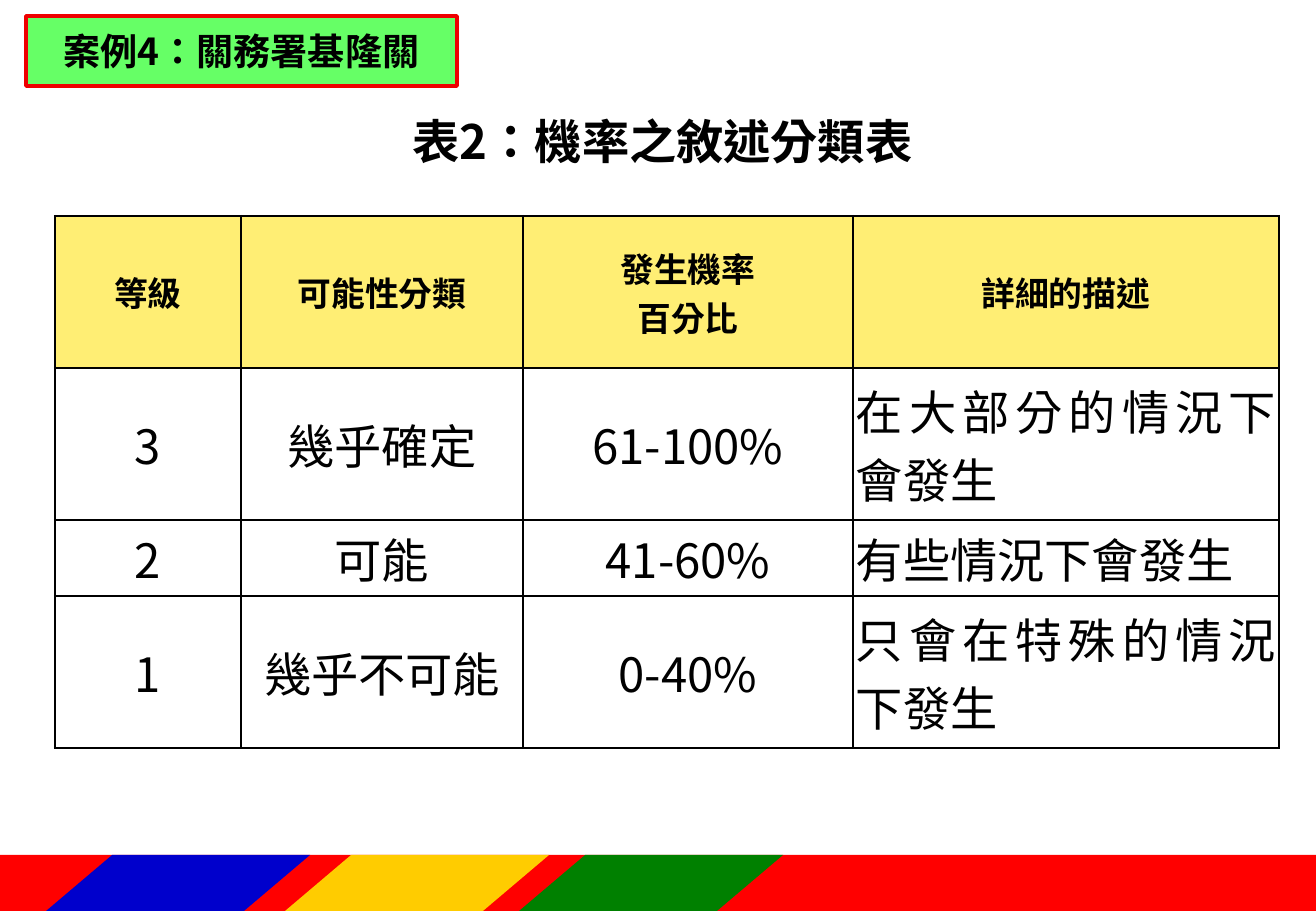
from pptx import Presentation
from pptx import util as u
from pptx.dml.color import RGBColor
from pptx.enum import lang, shapes, text
from pptx.oxml import ns, xmlchemy

SCALE = 914400 / 121.5
BLACK = RGBColor(0, 0, 0)
WHITE = RGBColor(255, 255, 255)
RED = RGBColor(255, 0, 0)
BLUE = RGBColor(0, 0, 204)
GOLD = RGBColor(255, 204, 0)
GREEN = RGBColor(0, 128, 0)
LIME = RGBColor(102, 255, 102)
EDGE = RGBColor(238, 0, 0)
YELLOW = RGBColor(255, 238, 116)
SANS = "Noto Sans CJK SC"
SERIF = "TeX Gyre Schola"

LABEL = dict(name=SANS, size=u.Pt(22), bold=True)
CAPTION = dict(name=SANS, size=u.Pt(28), bold=True)
HEAD = dict(name=SERIF, size=u.Pt(20), bold=True)
BODY = dict(name=SANS, size=u.Pt(28), bold=False)

COLS = [186, 282, 330, 426]
ROWS = [152, 152, 76, 152]
CELLS = [
    ["等級", "可能性分類", "發生機率\n百分比", "詳細的描述"],
    ["3", "幾乎確定", "61-100%", "在大部分的情況下會發生"],
    ["2", "可能", "41-60%", "有些情況下會發生"],
    ["1", "幾乎不可能", "0-40%", "只會在特殊的情況下發生"],
]


def px(n):
    return u.Emu(round(n * SCALE))


def apply(item, values):
    for key, value in values.items():
        setattr(item, key, value)


def write(frame, words, style, align=text.PP_ALIGN.CENTER, spacing=None):
    frame.text = words
    for para in frame.paragraphs:
        apply(para, dict(alignment=align, line_spacing=spacing))
        for run in para.runs:
            apply(run.font, style)
            run.font.color.rgb = BLACK
            run.font.language_id = lang.MSO_LANGUAGE_ID.TRADITIONAL_CHINESE
            east = xmlchemy.OxmlElement("a:ea")
            east.set("typeface", SANS)
            run.font._element.find(ns.qn("a:latin")).addnext(east)


def block(slide, kind, left, width, color):
    shape = slide.shapes.add_shape(kind, px(left), px(855), px(width), px(56))
    shape.shadow.inherit = False
    shape.fill.solid()
    shape.fill.fore_color.rgb = color
    shape.line.fill.background()
    return shape


def band(slide):
    block(slide, shapes.MSO_SHAPE.RECTANGLE, 0, 1316, RED)
    for left, color in [(285, GOLD), (519, GREEN), (46, BLUE)]:
        slant = block(slide, shapes.MSO_SHAPE.PARALLELOGRAM, left, 264, color)
        slant.adjustments[0] = 1.18


def label(slide, words):
    title = slide.shapes.title
    apply(title, dict(left=px(26), top=px(16), width=px(431), height=px(70)))
    title.fill.solid()
    title.fill.fore_color.rgb = LIME
    title.line.color.rgb = EDGE
    title.line.width = u.Pt(2.25)
    title.text_frame.vertical_anchor = text.MSO_ANCHOR.MIDDLE
    write(title.text_frame, words, LABEL)


def caption(slide, words):
    box = slide.shapes.add_textbox(px(400), px(111), px(525), px(69))
    apply(box.text_frame, dict(word_wrap=True, vertical_anchor=text.MSO_ANCHOR.MIDDLE))
    write(box.text_frame, words, CAPTION, spacing=0.83)


def border(cell, side, width):
    line = xmlchemy.OxmlElement("a:ln" + side)
    line.set("w", str(u.Pt(width)))
    fill = xmlchemy.OxmlElement("a:solidFill")
    color = xmlchemy.OxmlElement("a:srgbClr")
    color.set("val", str(BLACK))
    fill.append(color)
    line.append(fill)
    cell._tc.get_or_add_tcPr().append(line)


def entry(cell, row, col, words):
    last = col == len(COLS) - 1
    outer = dict(L=col == 0, R=last, T=row == 0, B=row == len(ROWS) - 1)
    for side, edge in outer.items():
        border(cell, side, 1.5 if edge else 1)
    apply(cell, dict(margin_left=px(3), margin_right=px(3), margin_top=0,
                     margin_bottom=0, vertical_anchor=text.MSO_ANCHOR.MIDDLE))
    cell.fill.solid()
    cell.fill.fore_color.rgb = WHITE if row else YELLOW
    align = text.PP_ALIGN.JUSTIFY if row and last else text.PP_ALIGN.CENTER
    write(cell.text_frame, words, BODY if row else HEAD, align)


def grid(slide):
    frame = slide.shapes.add_table(len(ROWS), len(COLS), px(55), px(216),
                                   px(sum(COLS)), px(sum(ROWS)))
    table = frame.table
    for col, width in zip(table.columns, COLS):
        col.width = px(width)
    for row, height in zip(table.rows, ROWS):
        row.height = px(height)
    for i, line in enumerate(CELLS):
        for j, words in enumerate(line):
            entry(table.cell(i, j), i, j, words)


def main():
    deck = Presentation()
    apply(deck, dict(slide_width=px(1316), slide_height=px(911)))
    slide = deck.slides.add_slide(deck.slide_layouts[5])
    band(slide)
    label(slide, "案例4：關務署基隆關")
    caption(slide, "表2：機率之敘述分類表")
    grid(slide)
    deck.save("out.pptx")


if __name__ == "__main__":
    main()
